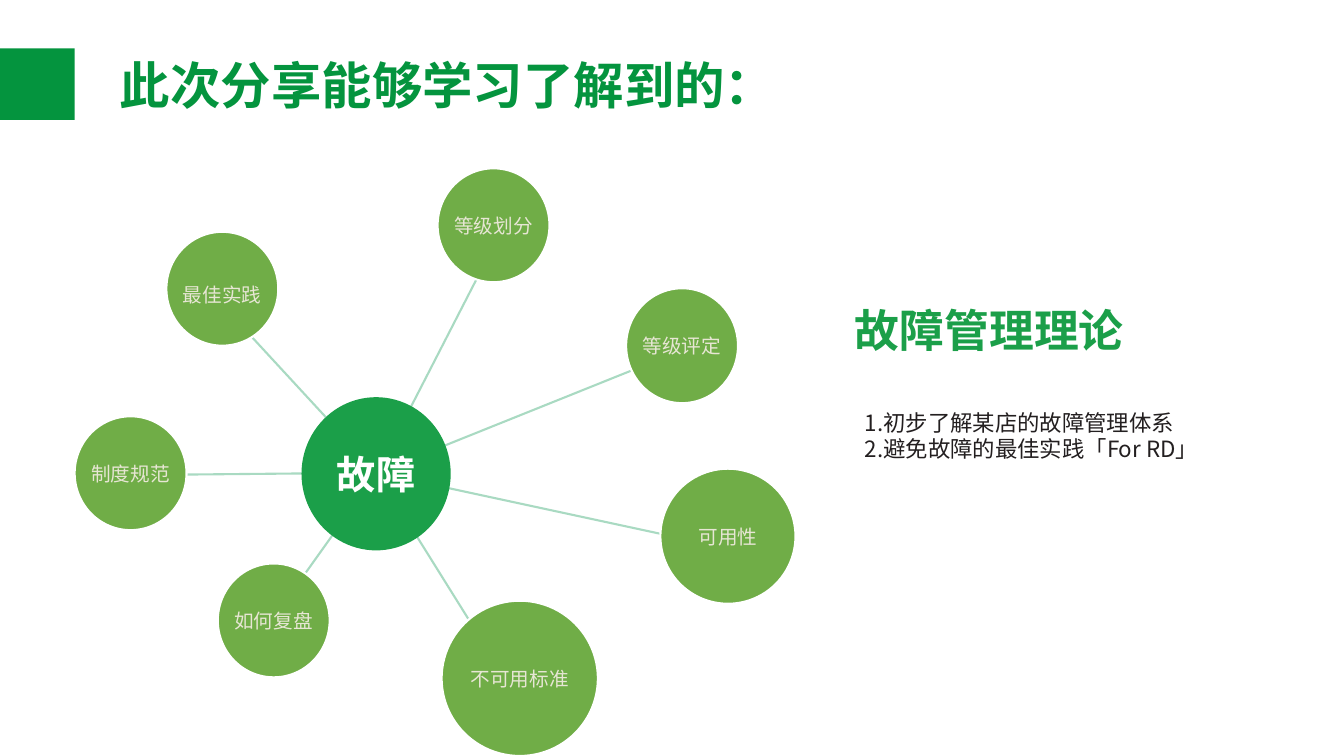
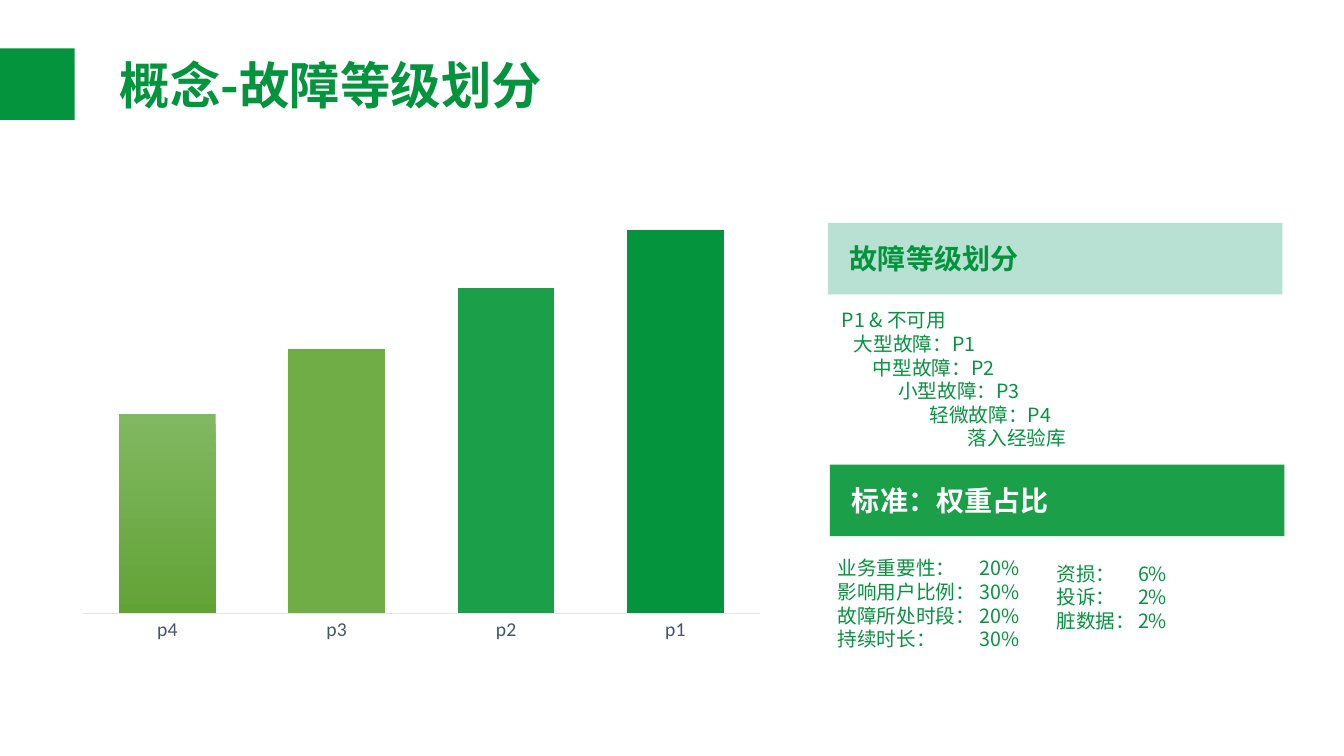
from lxml.etree import SubElement
from pptx import Presentation
from pptx.chart.data import CategoryChartData
from pptx.dml.color import RGBColor
from pptx.enum.chart import XL_CHART_TYPE, XL_TICK_MARK
from pptx.enum.shapes import MSO_CONNECTOR, MSO_SHAPE
from pptx.enum.text import MSO_ANCHOR, MSO_AUTO_SIZE, PP_ALIGN
from pptx.oxml import parse_xml
from pptx.oxml.ns import nsdecls, qn
from pptx.util import Emu, Pt

EMU_PER_PX = 9144
FONT = "Noto Sans CJK SC"
CHART_FONT = "Calibri"

DEEP_GREEN = RGBColor(0x04, 0x94, 0x3E)
GREEN = RGBColor(0x1B, 0x9F, 0x49)
LEAF = RGBColor(0x70, 0xAD, 0x47)
LEAF_TOP = RGBColor(0x81, 0xB8, 0x61)
LEAF_BOTTOM = RGBColor(0x62, 0xA3, 0x36)
MINT = RGBColor(0xB8, 0xE1, 0xD4)
SPOKE = RGBColor(0xA9, 0xDA, 0xC2)
CREAM = RGBColor(0xE7, 0xE6, 0xD4)
WHITE = RGBColor(0xFF, 0xFF, 0xFF)
INK = RGBColor(0x23, 0x1F, 0x20)
SLATE = RGBColor(0x44, 0x54, 0x6A)
AXIS = RGBColor(0xE0, 0xE5, 0xEB)


def px(*lengths):
    return [Emu(length * EMU_PER_PX) for length in lengths]


def write(frame, *lines, size, color, bold=False, align=PP_ALIGN.LEFT,
          anchor=MSO_ANCHOR.MIDDLE, insets=(10, 5, 10, 5), wrap=True,
          leading=None, tab=None, indents=()):
    frame.auto_size = MSO_AUTO_SIZE.NONE
    frame.word_wrap = wrap
    frame.vertical_anchor = anchor
    (frame.margin_left, frame.margin_top,
     frame.margin_right, frame.margin_bottom) = px(*insets)
    for number, line in enumerate(lines):
        paragraph = frame.add_paragraph() if number else frame.paragraphs[0]
        paragraph.alignment = align
        if leading:
            paragraph.line_spacing = Pt(leading)
        properties = paragraph._p.get_or_add_pPr()
        if indents:
            properties.set("marL", str(indents[number] * EMU_PER_PX))
            properties.set("indent", "0")
        if tab:
            stops = SubElement(properties, qn("a:tabLst"))
            SubElement(stops, qn("a:tab"), pos=str(tab * EMU_PER_PX), algn="l")
        run = paragraph.add_run()
        run.text = line
        run.font.size = Pt(size)
        run.font.bold = bold
        run.font.color.rgb = color
        run.font.name = FONT
        SubElement(run._r.get_or_add_rPr(), qn("a:ea"), typeface=FONT)


class Deck:
    def __init__(self):
        self.presentation = Presentation()
        self.presentation.slide_width, self.presentation.slide_height = px(1333, 750)
        self.slide = None

    def start(self, heading):
        layout = self.presentation.slide_layouts[5]
        self.slide = self.presentation.slides.add_slide(layout)
        title = self.slide.shapes.title
        title.left, title.top, title.width, title.height = px(119, 48, 1000, 71)
        write(title.text_frame, heading, size=36, color=DEEP_GREEN, bold=True,
              insets=(0, 5, 0, 5))
        self.block(MSO_SHAPE.RECTANGLE, (0, 48, 74, 71), DEEP_GREEN)

    def block(self, outline, box, fill, border=None):
        shape = self.slide.shapes.add_shape(outline, *px(*box))
        shape.shadow.inherit = False
        shape.fill.solid()
        shape.fill.fore_color.rgb = fill
        if border is None:
            shape.line.fill.background()
        else:
            shape.line.color.rgb = border
            shape.line.width = Pt(1.5)
        return shape

    def bubble(self, label, box, fill=LEAF, border=WHITE, size=14, color=CREAM,
               bold=False, drop=0):
        circle = self.block(MSO_SHAPE.OVAL, box, fill, border)
        write(circle.text_frame, label, size=size, color=color, bold=bold,
              align=PP_ALIGN.CENTER, insets=(5, 5 + drop, 5, 5), wrap=False)

    def band(self, label, box, fill, color):
        bar = self.block(MSO_SHAPE.RECTANGLE, box, fill)
        write(bar.text_frame, label, size=20, color=color, bold=True,
              insets=(22, 5, 10, 5))

    def text(self, box, *lines, **style):
        frame = self.slide.shapes.add_textbox(*px(*box)).text_frame
        write(frame, *lines, **style)

    def spoke(self, start, end):
        line = self.slide.shapes.add_connector(
            MSO_CONNECTOR.STRAIGHT, *px(*start, *end))
        line.line.color.rgb = SPOKE
        line.line.width = Pt(1.5)
        SubElement(line._element.spPr, qn("a:effectLst"))

    def columns(self, box, levels, fills):
        data = CategoryChartData()
        data.categories = list(levels)
        data.add_series("Series 1", list(levels.values()))
        chart = self.slide.shapes.add_chart(
            XL_CHART_TYPE.COLUMN_CLUSTERED, *px(*box), data).chart
        chart.has_legend = False
        chart.has_title = False
        chart.font.name = CHART_FONT
        chart.font.size = Pt(10)
        plot = chart.plots[0]
        plot.vary_by_categories = False
        plot.gap_width = 75
        plot.overlap = -25
        for point_index, colors in enumerate(fills):
            fill = plot.series[0].points[point_index].format.fill
            if len(colors) == 1:
                fill.solid()
                fill.fore_color.rgb = colors[0]
            else:
                fill.gradient()
                fill.gradient_angle = 270
                for stop, color in zip(fill.gradient_stops, colors):
                    stop.color.rgb = color
        scale = chart.value_axis
        scale.minimum_scale = 0
        scale.maximum_scale = 100
        scale.has_major_gridlines = False
        scale.visible = False
        names = chart.category_axis
        names.major_tick_mark = XL_TICK_MARK.NONE
        names.format.line.color.rgb = AXIS
        names.format.line.width = Pt(0.75)
        names.tick_labels.font.name = CHART_FONT
        names.tick_labels.font.size = Pt(14)
        names.tick_labels.font.color.rgb = SLATE
        area = chart._chartSpace.chart.plotArea
        for layout in area.findall(qn("c:layout")):
            area.remove(layout)
        area.insert(0, parse_xml(
            f'<c:layout {nsdecls("c")}><c:manualLayout>'
            '<c:layoutTarget val="inner"/>'
            '<c:xMode val="edge"/><c:yMode val="edge"/>'
            '<c:x val="0.02"/><c:y val="0.08"/>'
            '<c:w val="0.96"/><c:h val="0.84"/>'
            '</c:manualLayout></c:layout>'))


def build_overview(deck):
    deck.start("此次分享能够学习了解到的：")
    hub = (374, 469)
    topics = [
        ("等级划分", (434, 167, 111, 113), (486, 251), 0),
        ("等级评定", (621, 286, 111, 114), (705, 336), 0),
        ("可用性", (655, 465, 134, 134), (722, 544), 0),
        ("制度规范", (74, 413, 111, 113), (165, 471), 0),
        ("不可用标准", (438, 596, 155, 154), (477, 634), 0),
        ("如何复盘", (216, 559, 111, 113), (272, 612), 0),
        ("最佳实践", (165, 230, 111, 113), (243, 327), 12),
    ]
    for _, _, end, _ in topics:
        deck.spoke(hub, end)
    for label, box, _, drop in topics:
        deck.bubble(label, box, drop=drop)
    deck.bubble("故障", (299, 394, 148, 152), fill=GREEN, border=None, size=28,
                color=WHITE, bold=True)
    deck.text((838, 295, 289, 64), "故障管理理论", size=32, color=GREEN,
              bold=True, wrap=False)
    deck.text((848, 402, 465, 64), "1.初步了解某店的故障管理体系",
              "2.避免故障的最佳实践「For RD」", size=16, color=INK,
              anchor=MSO_ANCHOR.TOP, leading=18.6)


def build_levels(deck):
    deck.start("概念-故障等级划分")
    deck.columns((68, 192, 700, 453), {"p4": 52, "p3": 69, "p2": 85, "p1": 100},
                 [(LEAF_TOP, LEAF_BOTTOM), (LEAF,), (GREEN,), (DEEP_GREEN,)])
    deck.band("故障等级划分", (821, 221, 451, 71), MINT, DEEP_GREEN)
    deck.band("标准：权重占比", (823, 461, 451, 71), GREEN, WHITE)
    body = dict(size=14, color=DEEP_GREEN, anchor=MSO_ANCHOR.TOP,
                insets=(10, 0, 10, 0), leading=16.8)
    grades = ["P1 & 不可用", "大型故障：P1", "中型故障：P2",
              "小型故障：P3", "轻微故障：P4", "落入经验库"]
    cascade = [25 * step * (step + 3) // 8 for step in range(len(grades))]
    deck.text((825, 306, 449, 147), *grades, indents=cascade, **body)
    main_weights = [("业务重要性：", "20%"), ("影响用户比例：", "30%"),
                    ("故障所处时段：", "20%"), ("持续时长：", "30%")]
    other_weights = [("资损：", "6%"), ("投诉：", "2%"), ("脏数据：", "2%")]
    for box, weights, tab in [((821, 552, 219, 107), main_weights, 141),
                              ((1038, 557, 233, 98), other_weights, 81)]:
        deck.text(box, *("\t".join(pair) for pair in weights), tab=tab, **body)


def main():
    deck = Deck()
    build_overview(deck)
    build_levels(deck)
    deck.presentation.save("out.pptx")


if __name__ == "__main__":
    main()
